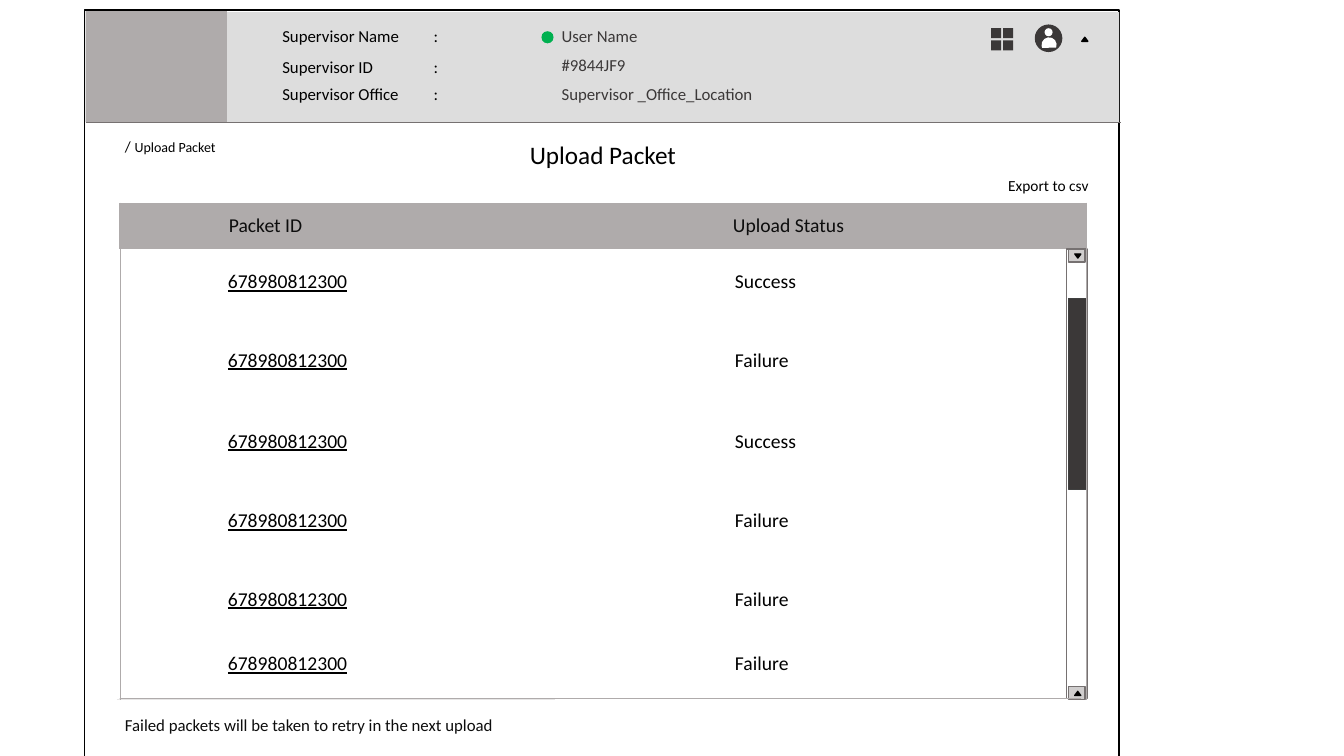
from lxml.etree import SubElement
from pptx import Presentation
from pptx.dml.color import RGBColor
from pptx.enum.shapes import MSO_CONNECTOR, MSO_SHAPE as SHAPE
from pptx.enum.text import MSO_ANCHOR as ANCHOR, MSO_AUTO_SIZE as AUTO, PP_ALIGN as ALIGN
from pptx.oxml.ns import qn
from pptx.util import Emu, Pt

COLORS = {
    "black": "000000", "ink": "0D0D0D", "dark": "3B3838", "thumb_edge": "404040",
    "edge": "767171", "gray": "AFABAB", "button": "D0CECE", "bar": "DDDDDD",
    "divider": "E7E6E6", "white": "FFFFFF", "online": "00B050",
}
FONT = "Calibri"
PACKET_ID = "678980812300"
ROWS = [("Success", 68, 21), ("Failure", 78, 31), ("Success", 79, 33),
        ("Failure", 80, 33), ("Failure", 78, 31), ("Failure", 63, 17)]


def px(n):
    return Emu(n * 9144)


def rgb(name):
    return RGBColor.from_string(COLORS[name])


def apply(target, formats):
    for name, value in formats.items():
        setattr(target, name, value)


def style_run(run, size, color, **formats):
    apply(run.font, {"name": FONT, "size": Pt(size), **formats})
    run.font.color.rgb = rgb(color)


def add_block(shapes, kind, box, fill=None, line=None, weight=1, rotation=0):
    block = shapes.add_shape(kind, *map(px, box))
    block.shadow.inherit = False
    block.rotation = rotation
    if fill:
        block.fill.solid()
        block.fill.fore_color.rgb = rgb(fill)
    else:
        block.fill.background()
    if line:
        block.line.color.rgb = rgb(line)
        block.line.width = Pt(weight)
    else:
        block.line.fill.background()


def add_rule(shapes, x1, y1, x2, y2, color):
    rule = shapes.add_connector(MSO_CONNECTOR.STRAIGHT, *map(px, (x1, y1, x2, y2)))
    rule.line.color.rgb = rgb(color)
    rule.line.width = Pt(0.5)
    SubElement(rule._element.spPr, qn("a:effectLst"))


def add_label(shapes, box, parts, color="black", inset=10, wrap=False, align=ALIGN.LEFT):
    frame = shapes.add_textbox(*map(px, box)).text_frame
    apply(frame, {"word_wrap": wrap, "auto_size": AUTO.SHAPE_TO_FIT_TEXT,
                  "margin_left": px(inset)})
    paragraph = frame.paragraphs[0]
    paragraph.alignment = align
    for text, size in parts:
        run = paragraph.add_run()
        run.text = text
        style_run(run, size, color)


def draw_user_icons(shapes, x, y):
    tiles = shapes.add_group_shape().shapes
    for row in range(2):
        for column in range(2):
            add_block(tiles, SHAPE.RECTANGLE, (x + 12 * column, y + 3 + 12 * row, 10, 10), "dark")
    avatar = shapes.add_group_shape().shapes
    add_block(avatar, SHAPE.OVAL, (x + 44, y, 26, 26), "dark", "dark")
    add_block(avatar, SHAPE.OVAL, (x + 53, y + 3, 8, 8), "white")
    add_block(avatar, SHAPE.CHORD, (x + 50, y + 12, 15, 15), "white", rotation=111.5)
    add_block(shapes, SHAPE.ISOSCELES_TRIANGLE, (x + 90, y + 12, 6, 4), "black", "black")


def draw_header(shapes, x, y, w, h):
    add_block(shapes, SHAPE.RECTANGLE, (x + 1, y + 1, w - 1, h - 1), "bar")
    add_block(shapes, SHAPE.RECTANGLE, (x, y, 140, h), "gray")
    add_rule(shapes, x, y + h, x + w + 2, y + h, "edge")
    details = [("Supervisor Name\t:", "User Name", 103, 10, 10),
               ("Supervisor ID\t\t:", "#9844JF9", 91, 40, 38),
               ("Supervisor Office\t:", "Supervisor _Office_Location", 218, 67, 67)]
    for caption, value, value_w, caption_y, value_y in details:
        add_label(shapes, (x + 179, y + caption_y, 227, 30), [(caption, 12)], inset=16)
        add_label(shapes, (x + 456, y + value_y, value_w, 30), [(value, 12)], "dark", inset=16)
    add_block(shapes, SHAPE.OVAL, (x + 452, y + 20, 12, 12), "online")
    draw_user_icons(shapes, x + 898, y + 14)


def fill_cell(cell, text, size_formats, fill, divider, margins):
    apply(cell, margins)
    run = cell.text_frame.paragraphs[0].add_run()
    run.text = text
    style_run(run, 14, **size_formats)
    cell.fill.solid()
    cell.fill.fore_color.rgb = rgb(fill)
    properties = cell._tc.get_or_add_tcPr()
    for position, side in enumerate(("lnL", "lnR", "lnT", "lnB")):
        border = SubElement(properties, qn("a:" + side), w=str(Pt(0.5)))
        if side == "lnB":
            paint = SubElement(border, qn("a:solidFill"))
            SubElement(paint, qn("a:srgbClr"), val=COLORS[divider])
        else:
            SubElement(border, qn("a:noFill"))
        properties.insert(position, border)


def draw_packet_table(shapes, x, y, w, h):
    header_h = 46
    table = shapes.add_table(len(ROWS) + 1, 2, *map(px, (x, y, w, h))).table
    apply(table, {"first_row": False, "horz_banding": False})
    id_w = 602
    table.columns[0].width, table.columns[1].width = px(id_w), px(w - id_w)
    table.rows[0].height = px(header_h)
    for column, (title, inset) in enumerate([("Packet ID", 109), ("Upload Status", 7)]):
        fill_cell(table.cell(0, column), title, {"color": "ink"}, "gray", "gray",
                  {"margin_left": px(inset), "vertical_anchor": ANCHOR.MIDDLE})
    for number, (status, row_h, top) in enumerate(ROWS, 1):
        table.rows[number].height = px(row_h)
        for column, (text, inset) in enumerate([(PACKET_ID, 108), (status, 9)]):
            fill_cell(table.cell(number, column), text,
                      {"color": "black", "underline": column == 0}, "white", "divider",
                      {"margin_left": px(inset), "margin_top": px(top),
                       "margin_bottom": 0, "vertical_anchor": ANCHOR.TOP})
    draw_scrollbar(shapes, x + w - 20, y + header_h, 20, h - header_h)
    add_rule(shapes, x - 2, y + h + 1, x + 432, y + h + 1, "divider")
    add_rule(shapes, x + 1, y + h, x + w - 6, y + h, "gray")
    for side in (x + 1, x + w - 1):
        add_rule(shapes, side, y, side, y + h + 1, "gray")


def draw_scrollbar(shapes, x, y, w, h):
    process = SHAPE.FLOWCHART_PROCESS
    add_block(shapes, process, (x, y, w, h), "white", "edge")
    for top, rotation in ((y, 180), (y + h - 12, 0)):
        add_block(shapes, process, (x + 2, top, 16, 13), "button", "edge")
        add_block(shapes, SHAPE.ISOSCELES_TRIANGLE, (x + 8, top + 5, 6, 4),
                  "black", "black", rotation=rotation)
    add_block(shapes, process, (x + 2, y + 49, 17, 190), "dark", "thumb_edge", 0.5)


def draw_page(shapes, x, y, w, h):
    add_block(shapes, SHAPE.RECTANGLE, (x, y, w, h), line="black")
    draw_header(shapes, x + 1, y + 1, w - 1, 110)
    add_label(shapes, (x + 30, y + 120, 112, 30),
              [("/", 11), (" ", 12), ("Upload Packet", 10)])
    add_label(shapes, (x + 389, y + 123, 250, 40), [("Upload Packet", 18)],
              wrap=True, align=ALIGN.CENTER)
    add_label(shapes, (x + 906, y + 160, 101, 29), [("Export to csv", 11)])
    draw_packet_table(shapes, x + 34, y + 191, 960, 492)
    add_label(shapes, (x + 30, y + 694, 449, 30),
              [("Failed packets will be taken to retry in the next upload", 12)],
              "ink", wrap=True)


def main():
    deck = Presentation()
    apply(deck, {"slide_width": px(1333), "slide_height": px(750)})
    slide = deck.slides.add_slide(deck.slide_layouts[6])
    draw_page(slide.shapes, 84, 10, 1026, 742)
    deck.save("out.pptx")


if __name__ == "__main__":
    main()
